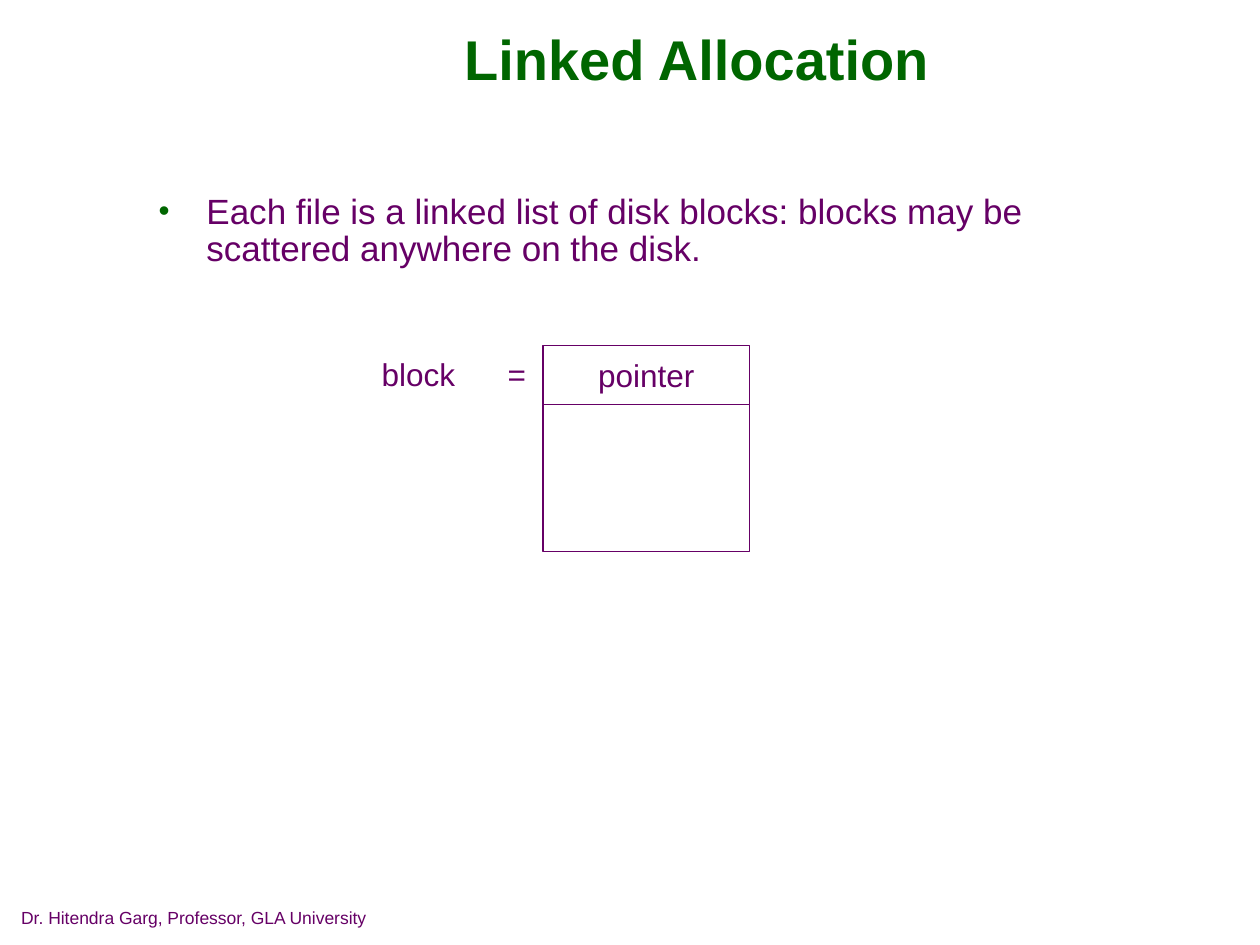
from lxml.etree import SubElement
from pptx import Presentation
from pptx.dml.color import RGBColor
from pptx.enum.shapes import MSO_SHAPE
from pptx.enum.text import MSO_ANCHOR, PP_ALIGN
from pptx.oxml.ns import qn
from pptx.util import Inches, Pt

# Content
TITLE = "Linked Allocation"
POINT = "Each file is a linked list of disk blocks: blocks may be scattered anywhere on the disk."
BLOCK_LABEL = "block\t="
BLOCK_PARTS = [("pointer", 0.47), ("", 1.17)]  # text, height
FOOTER = "Dr. Hitendra Garg, Professor, GLA University"

THEME = {
    "font": "Arial",
    "green": RGBColor(0x00, 0x66, 0x00),
    "purple": RGBColor(0x66, 0x00, 0x66),
    "white": RGBColor(0xFF, 0xFF, 0xFF),
    "title": 32, "body": 20, "diagram": 18, "footer": 10,
}
BLOCK_LEFT, BLOCK_TOP, BLOCK_WIDTH = 4.31, 2.74, 1.64


def write(frame, text, size, color="purple", bold=False,
          align=PP_ALIGN.LEFT, anchor=MSO_ANCHOR.TOP, wrap=True):
    frame.text = text
    frame.word_wrap = wrap
    frame.vertical_anchor = anchor
    paragraph = frame.paragraphs[0]
    paragraph.alignment = align
    for run in paragraph.runs:
        run.font.name = THEME["font"]
        run.font.size = Pt(THEME[size])
        run.font.bold = bold
        run.font.color.rgb = THEME[color]
    return paragraph


def add_text(left, top, width, height, text, size, **style):
    box = slide.shapes.add_textbox(*map(Inches, (left, top, width, height)))
    box.text_frame.margin_right = 0
    return write(box.text_frame, text, size, **style)


def add_bullet(paragraph):
    props = paragraph._p.get_or_add_pPr()
    props.set("marL", str(Inches(0.38)))
    props.set("indent", str(-Inches(0.38)))
    color = SubElement(props, qn("a:buClr"))
    SubElement(color, qn("a:srgbClr"), val=str(THEME["green"]))
    SubElement(props, qn("a:buSzPct"), val="90000")
    SubElement(props, qn("a:buFont"), typeface=THEME["font"])
    SubElement(props, qn("a:buChar"), char="•")


def add_tab(paragraph, position):
    tabs = SubElement(paragraph._p.get_or_add_pPr(), qn("a:tabLst"))
    SubElement(tabs, qn("a:tab"), pos=str(Inches(position)), algn="l")


prs = Presentation()
prs.slide_width, prs.slide_height = Inches(10), Inches(7.5)
slide = prs.slides.add_slide(prs.slide_layouts[5])

# Title
title = slide.shapes.title
title.left, title.top, title.width, title.height = map(Inches, (1.28, 0, 8.5, 0.92))
write(title.text_frame, TITLE, "title", color="green", bold=True,
      align=PP_ALIGN.CENTER, anchor=MSO_ANCHOR.MIDDLE)

# Bullet point
point = add_text(1.16, 1.49, 7.69, 0.74, POINT, "body")
add_bullet(point)
point.line_spacing = 0.9

# Block: a pointer above its data
top = BLOCK_TOP
for text, height in BLOCK_PARTS:
    part = slide.shapes.add_shape(
        MSO_SHAPE.RECTANGLE, *map(Inches, (BLOCK_LEFT, top, BLOCK_WIDTH, height)))
    part.shadow.inherit = False
    part.fill.solid()
    part.fill.fore_color.rgb = THEME["white"]
    part.line.color.rgb = THEME["purple"]
    part.line.width = Pt(0.75)
    if text:
        write(part.text_frame, text, "diagram", align=PP_ALIGN.CENTER,
              anchor=MSO_ANCHOR.MIDDLE, wrap=False)
    top += height

# Block label, with the equals sign at a tab stop
label = add_text(2.93, 2.77, 1.34, 0.4, BLOCK_LABEL, "diagram", anchor=MSO_ANCHOR.MIDDLE)
add_tab(label, 1)

# Footer
add_text(0.07, 7.15, 3.17, 0.35, FOOTER, "footer")

prs.save("out.pptx")
